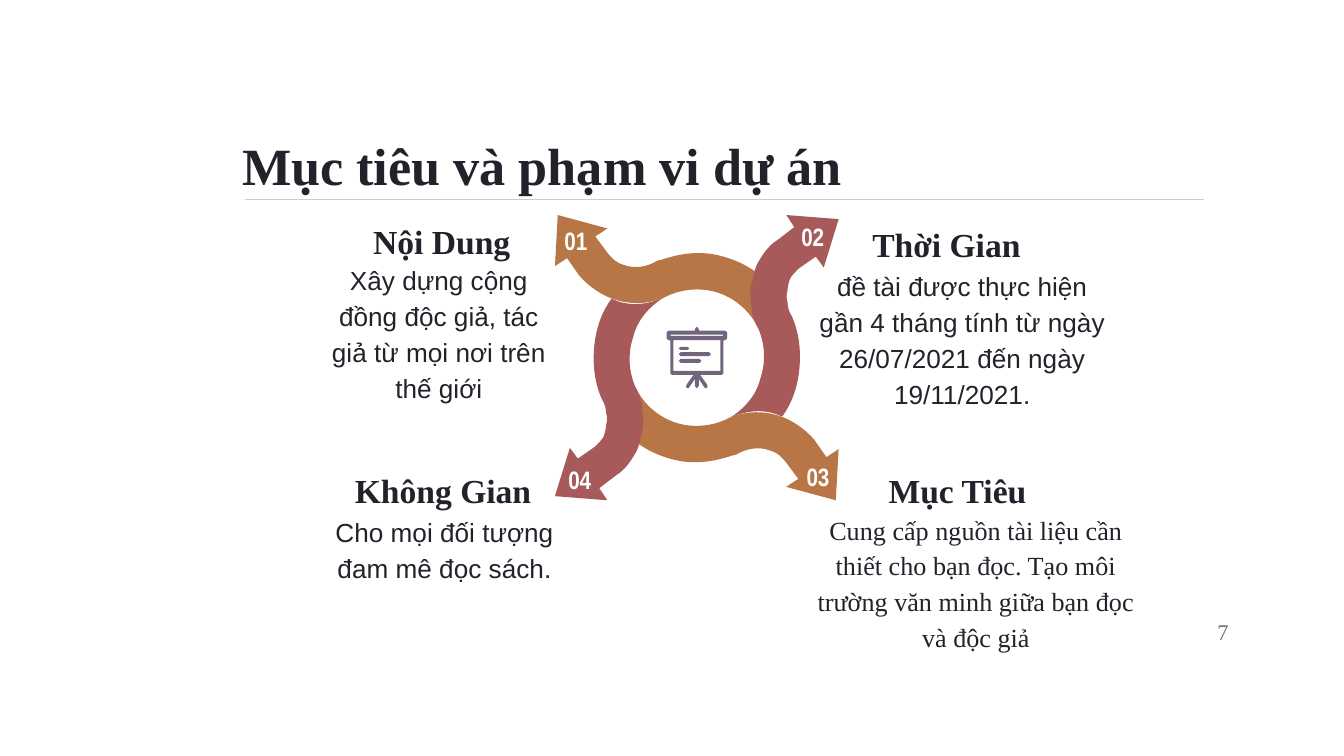
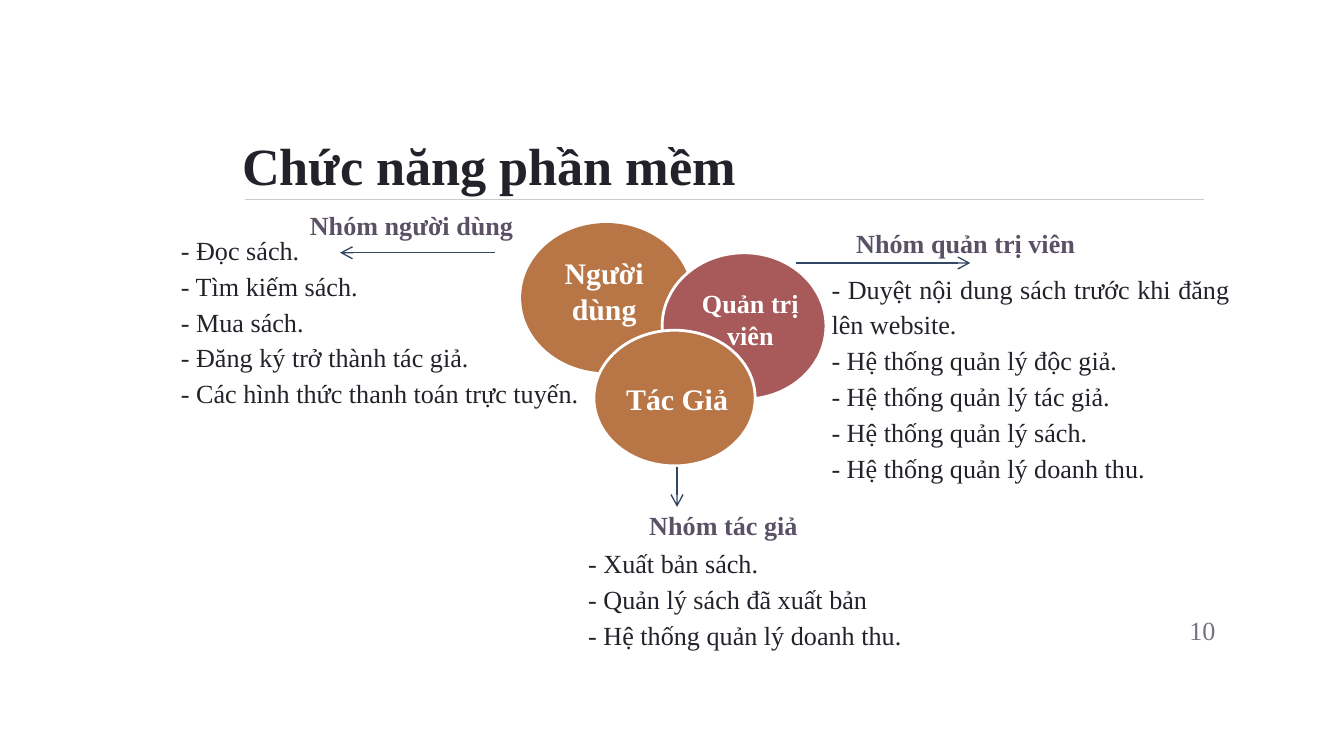
from math import cos, radians, sin
from pptx import Presentation
from pptx.dml.color import RGBColor
from pptx.enum.shapes import MSO_CONNECTOR, MSO_SHAPE
from pptx.enum.text import MSO_ANCHOR, MSO_AUTO_SIZE, PP_ALIGN
from pptx.oxml.ns import qn
from pptx.util import Pt
from lxml.etree import SubElement


class Theme:
    ink = "25212A"
    soft = "5B5167"
    mute = "797281"
    icon = "70647F"
    ochre = "B87647"
    rose = "A85A5A"
    navy = "314865"
    rule = "CCCCCC"
    white = "FFFFFF"
    serif = "Times New Roman"
    sans = "Arial"
    slim = "Arial Narrow"
    title = 28
    head = 18
    disc = 16
    body = 14
    tag = 13.5
    small = 12
    lead = 1.14


LEFT, RIGHT = PP_ALIGN.LEFT, PP_ALIGN.RIGHT
MID, JUST = PP_ALIGN.CENTER, PP_ALIGN.JUSTIFY

GOALS = {
    "title": "Mục tiêu và phạm vi dự án",
    "page": ("7", (622.1, 322.9, 43.2, 31), Theme.small),
    "parts": [
        ("Nội Dung", (180.2, 112, 113, 32.4),
         ["Xây dựng cộng đồng độc giả, tác giả từ mọi nơi trên thế giới"],
         (168.5, 136, 133.2, 64), Theme.sans),
        ("Thời Gian", (414.9, 113.3, 184.3, 32.4),
         ["đề tài được thực hiện gần 4 tháng tính từ ngày 26/07/2021 đến ngày",
          "19/11/2021."],
         (430, 139.2, 171, 83), Theme.sans),
        ("Không Gian", (174.4, 245.3, 126, 32.4),
         ["Cho mọi đối tượng đam mê đọc sách."],
         (165.8, 270.7, 144.7, 46), Theme.sans),
        ("Mục Tiêu", (427.7, 245.2, 170.6, 32.4),
         ["Cung cấp nguồn tài liệu cần thiết cho bạn đọc. "
          "Tạo môi trường văn minh giữa bạn đọc và độc giả"],
         (423.5, 269.5, 198.7, 85), Theme.serif),
    ],
    "tags": [("01", 294.5, 119.1), ("02", 421.4, 117),
             ("03", 424.2, 245.6), ("04", 296.6, 247.3)],
}

ROLES = {
    "title": "Chức năng phần mềm",
    "page": ("10", (615.1, 322, 43.2, 31), Theme.body),
    "discs": [
        ("Người dùng", (279.2, 119.5, 91.4, 80), Theme.ochre, False,
         (290.9, 132.8, 65.5, 46), Theme.disc),
        ("Quản trị viên", (354.7, 135.4, 87.8, 78.5), Theme.rose, True,
         (355.2, 150.7, 93.6, 41), Theme.body),
        ("Tác Giả", (318.2, 176.9, 86.4, 72.7), Theme.ochre, True,
         (327.1, 200.2, 71.3, 26.6), Theme.disc),
    ],
    "groups": [
        ("Nhóm người dùng", (155, 106.3, 131, 26.6),
         ["Đọc sách.", "Tìm kiếm sách.", "Mua sách.",
          "Đăng ký trở thành tác giả.",
          "Các hình thức thanh toán trực tuyến."],
         (89.8, 119.7, 234, 103.7), LEFT),
        ("Nhóm tác giả", (326.4, 267.1, 122.4, 26.6),
         ["Xuất bản sách.", "Quản lý sách đã xuất bản",
          "Hệ thống quản lý doanh thu."],
         (308, 287.5, 236.9, 65.5), JUST),
        ("Nhóm quản trị viên", (427.7, 115.9, 179.3, 26.6),
         ["Duyệt nội dung sách trước khi đăng lên website.",
          "Hệ thống quản lý độc giả.", "Hệ thống quản lý tác giả.",
          "Hệ thống quản lý sách.", "Hệ thống quản lý doanh thu."],
         (438.4, 140.4, 227.5, 123.1), JUST),
    ],
    "arrows": [(426.2, 140.9, 519.8, 140.9), (265, 135.4, 182.2, 135.4),
               (362.7, 250, 362.7, 271.6)],
}

TURN = 324.2
HUB = (373.3, 191.9)
FLIP = (373.3, 191.3)
WEST = [
    (-69.5, -53.6), (-76, -49.3), (-74.5, -76.7), (-47.9, -69.5),
    (-54.4, -65.2), (-47.9, -56.5),
    (-45.7, -53.6, -42.8, -50.8, -39.2, -50),
    (-35.6, -48.6, -32, -48.6, -28.4, -49.3),
    (-25.6, -50, -23.4, -50.8, -21.2, -52.2),
    (-20.5, -52.2, -19.1, -52.9, -18.4, -52.9),
    (-9.7, -55.8, -1.1, -57.2, 8.3, -55.8),
    (16.2, -54.4, 24.1, -51.5, 31.3, -46.4),
    (29.9, -42.1, 29.2, -38.5, 29.2, -34.2),
    (29.2, -27.7, 30.6, -22, 32.8, -16.2),
    (28.4, -25.6, 19.8, -32.8, 9.7, -35.6),
    (1.1, -37.8, -8.3, -37.1, -16.9, -32.8),
    (-24.8, -29.2, -34.2, -28.4, -43.6, -31.3),
    (-50.8, -33.5, -58, -38.5, -63, -44.3),
]
EAST = [
    (17.6, 32), (22, 29.9, 27.7, 28.4, 32.8, 28.4),
    (37.1, 28.4, 41.4, 29.2, 45.7, 31.3),
    (51.5, 23.4, 54.4, 14, 55.1, 4),
    (55.8, -5.4, 54.4, -14.8, 50.8, -22.7),
    (49.3, -24.8, 48.6, -27.7, 48.6, -29.9),
    (47.9, -32, 47.9, -34.2, 48.6, -36.4),
    (48.6, -38.5, 49.3, -40.7, 50, -42.8),
    (51.5, -45, 52.9, -46.4, 54.4, -47.9),
    (63.7, -54.4), (68, -48.6), (76, -74.5), (47.9, -76.7),
    (52.2, -70.2), (42.8, -63),
    (39.2, -60.8, 36.4, -57.2, 34.2, -53.6),
    (32, -50.8, 30.6, -46.4, 29.9, -42.1),
    (28.4, -37.8, 28.4, -33.5, 29.2, -28.4),
    (29.2, -24.1, 30.6, -20.5, 32.8, -16.2),
    (36.4, -8.3, 37.1, 1.8, 34.2, 10.4),
    (32, 19.8, 25.6, 27, 17.6, 32),
]
BOARD = [
    (0, -16.9), (1.1, -15.5), (1.1, -14.8), (14.8, -14.8), (16.2, -14),
    (16.2, -10.4), (14.8, -9.5), (14.2, -9.5), (14.2, 8.3), (13.3, 9),
    (1.8, 9), (5.4, 14), (5.8, 15.5), (4.7, 16.2), (4.2, 15.8),
    (1.1, 11.2), (1.1, 14.8), (0, 16.2),
]
PANES = [(-12.6, -9.7, 12.6, 6.8), (-14, -12.6, 14, -11.9)]
BARS = [(-9.7, 0.4, 2.5, 2.5), (-9.7, -3.2, 7.6, -1.1), (-9.7, -6.1, -4, -4.4)]


def tint(code):
    return RGBColor.from_string(code)


def paint(shape, fill, edge=None):
    shape.shadow.inherit = False
    shape.fill.solid()
    shape.fill.fore_color.rgb = tint(fill)
    if edge:
        shape.line.color.rgb = tint(edge)
        shape.line.width = Pt(1.5)
    else:
        shape.line.fill.background()


def write(slide, box, lines, size, color=Theme.ink, font=Theme.serif, bold=False,
          align=LEFT, lead=None, pad=(7.2, 3.6), anchor=MSO_ANCHOR.TOP, grow=True):
    frame = slide.shapes.add_textbox(*map(Pt, box)).text_frame
    frame.word_wrap = True
    frame.auto_size = MSO_AUTO_SIZE.SHAPE_TO_FIT_TEXT if grow else MSO_AUTO_SIZE.NONE
    frame.vertical_anchor = anchor
    frame.margin_left = frame.margin_right = Pt(pad[0])
    frame.margin_top = frame.margin_bottom = Pt(pad[1])
    for n, line in enumerate(lines):
        para = frame.add_paragraph() if n else frame.paragraphs[0]
        para.alignment = align
        if lead:
            para.line_spacing = lead
        run = para.add_run()
        run.text = line
        run.font.size = Pt(size)
        run.font.name = font
        run.font.bold = bold
        run.font.color.rgb = tint(color)


def draw(slide, ends, color, head=False):
    line = slide.shapes.add_connector(MSO_CONNECTOR.STRAIGHT, *map(Pt, ends))
    line.line.color.rgb = tint(color)
    line.line.width = Pt(0.75)
    props = line._element.spPr
    if head:
        SubElement(props.find(qn("a:ln")), qn("a:tailEnd"), type="arrow")
    SubElement(props, qn("a:effectLst"))


def oval(slide, box, fill, edge=None):
    shape = slide.shapes.add_shape(MSO_SHAPE.OVAL, *map(Pt, box))
    paint(shape, fill, edge)
    return shape


def spin(x, y, angle):
    c, s = cos(radians(angle)), sin(radians(angle))
    return x * c - y * s, x * s + y * c


def bend(shape, steps):
    route = next(shape._element.iter(qn("a:path")))
    for node, step in zip(list(route)[1:], steps[1:]):
        if len(step) == 3:
            curve = SubElement(route, qn("a:cubicBezTo"))
            for x, y in step:
                SubElement(curve, qn("a:pt"), x=str(Pt(x) - shape.left),
                           y=str(Pt(y) - shape.top))
            route.replace(node, curve)


def outline(slide, loops, fill):
    pen = None
    for loop in loops:
        dots = [(Pt(x), Pt(y)) for x, y in loop]
        if pen:
            pen.move_to(*dots[0])
        else:
            pen = slide.shapes.build_freeform(*dots[0], scale=1.0)
        pen.add_line_segments(dots[1:], close=True)
    shape = pen.convert_to_shape()
    paint(shape, fill)
    return shape


def swirl(slide, path, fill, hub, sign):
    steps = [[spin(sign * x, sign * y, -TURN) for x, y in zip(step[::2], step[1::2])]
             for step in path]
    shape = outline(slide, [[step[-1] for step in steps]], fill)
    bend(shape, steps)
    half, rise = shape.width / 2, shape.height / 2
    x, y = spin(shape.left + half, shape.top + rise, TURN)
    shape.left = int(Pt(hub[0]) + x - half)
    shape.top = int(Pt(hub[1]) + y - rise)
    shape.rotation = TURN


def pill(l, t, r, b):
    m = (t + b) / 2
    return [(l + 1, t), (r - 1, t), (r, m), (r - 1, b), (l + 1, b), (l, m)]


def easel(slide):
    frame = BOARD + [(-x, y) for x, y in BOARD[-2:0:-1]]
    panes = [[(l, t), (r, t), (r, b), (l, b)] for l, t, r, b in PANES]
    loops = [frame] + panes + [pill(*bar) for bar in BARS]
    outline(slide, [[(HUB[0] + x, HUB[1] + y) for x, y in loop] for loop in loops],
            Theme.icon)


def start(deck, data):
    slide = deck.slides.add_slide(deck.slide_layouts[6])
    draw(slide, (131, 106.9, 645.1, 106.9), Theme.rule)
    write(slide, (122.6, 56.6, 521.3, 55.4), [data["title"]], Theme.title, bold=True,
          pad=(7.2, 7.2), anchor=MSO_ANCHOR.BOTTOM, grow=False)
    page, box, size = data["page"]
    write(slide, box, [page], size, Theme.mute, align=RIGHT, pad=(7.2, 7.2),
          anchor=MSO_ANCHOR.MIDDLE, grow=False)
    return slide


def goals(deck):
    slide = start(deck, GOALS)
    for hub, sign in ((HUB, 1), (FLIP, -1)):
        swirl(slide, WEST, Theme.ochre, hub, sign)
        swirl(slide, EAST, Theme.rose, hub, sign)
    oval(slide, (344.2, 162, 59, 59.8), Theme.white).rotation = TURN
    easel(slide)
    for tag, x, y in GOALS["tags"]:
        write(slide, (x, y, 28, 19.4), [tag], Theme.tag, Theme.white, Theme.slim, True,
              MID, pad=(2.2, 2.2), anchor=MSO_ANCHOR.MIDDLE)
    for head, spot, lines, box, font in GOALS["parts"]:
        write(slide, box, lines, Theme.body, font=font, align=MID, lead=Theme.lead)
        write(slide, spot, [head], Theme.head, bold=True, align=MID, lead=Theme.lead)


def roles(deck):
    slide = start(deck, ROLES)
    for name, box, fill, edge, spot, size in ROLES["discs"]:
        oval(slide, box, fill, Theme.white if edge else None)
    for name, box, fill, edge, spot, size in ROLES["discs"]:
        write(slide, spot, [name], size, Theme.white, bold=True, align=MID)
    for ends in ROLES["arrows"]:
        draw(slide, ends, Theme.navy, True)
    for head, spot, lines, box, align in ROLES["groups"]:
        write(slide, box, ["- " + line for line in lines], Theme.body, align=align,
              lead=Theme.lead)
        write(slide, spot, [head], Theme.body, Theme.soft, bold=True, align=MID,
              lead=Theme.lead)


def main():
    deck = Presentation()
    deck.slide_width, deck.slide_height = Pt(720), Pt(405)
    goals(deck)
    roles(deck)
    deck.save("out.pptx")


if __name__ == "__main__":
    main()
